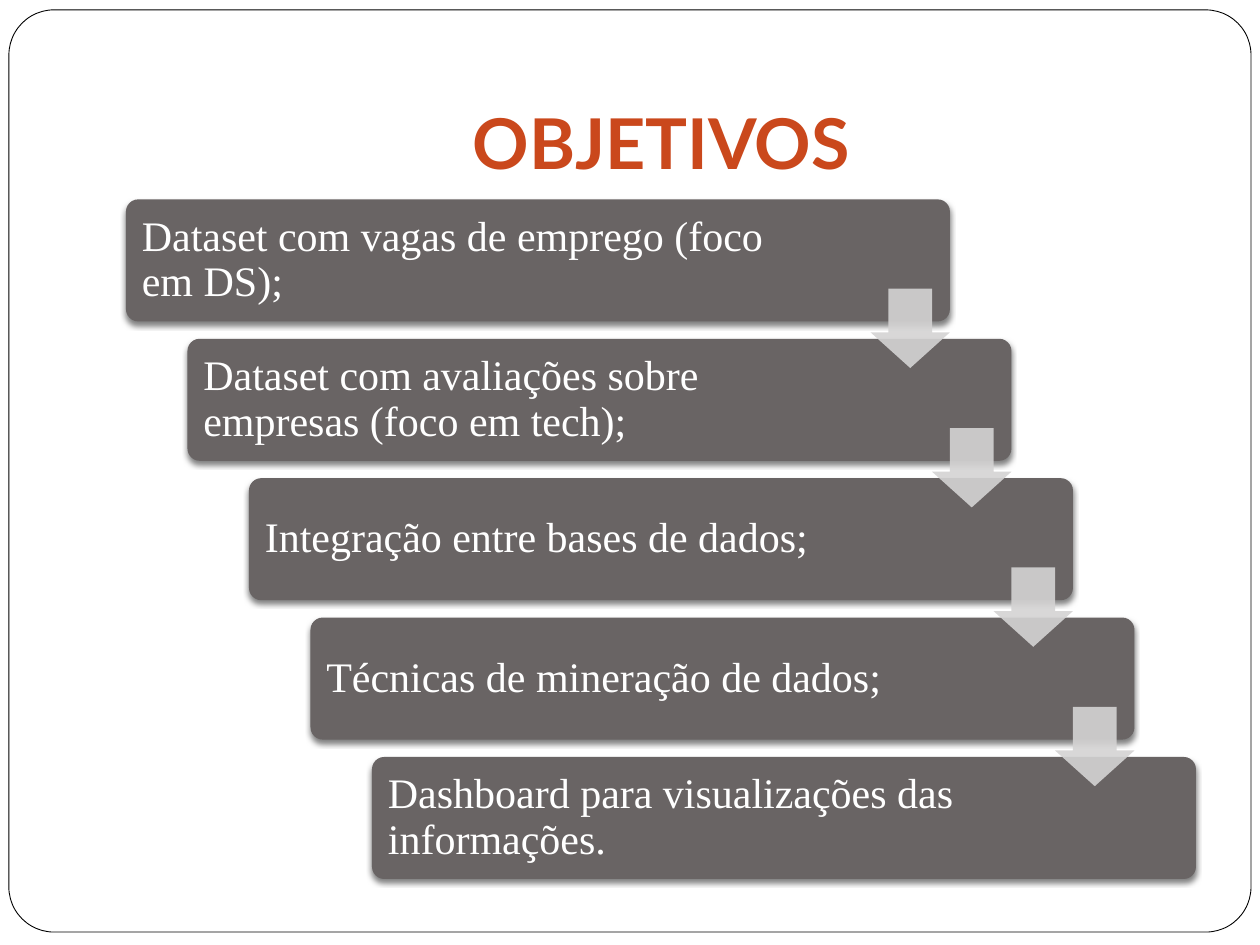
from lxml.etree import SubElement
from pptx import Presentation
from pptx.dml.color import RGBColor
from pptx.enum.shapes import MSO_SHAPE
from pptx.enum.text import MSO_ANCHOR, PP_ALIGN
from pptx.oxml.ns import qn
from pptx.util import Cm, Pt

WHITE = RGBColor(0xFF, 0xFF, 0xFF)
BLACK = RGBColor(0x00, 0x00, 0x00)
ORANGE = RGBColor(0xCA, 0x48, 0x1C)
GRAY = RGBColor(0x69, 0x64, 0x64)
LIGHT_GRAY = RGBColor(0xD4, 0xD3, 0xD3)

OBJECTIVES = [
    "Dataset com vagas de emprego (foco em DS);",
    "Dataset com avaliações sobre empresas (foco em tech);",
    "Integração entre bases de dados;",
    "Técnicas de mineração de dados;",
    "Dashboard para visualizações das informações.",
]
STEP_ACROSS = 1.24
STEP_DOWN = 2.81


def add_shape(page, kind, left, top, width, height, fill, adjustments, line=None):
    shape = page.shapes.add_shape(kind, Cm(left), Cm(top), Cm(width), Cm(height))
    shape.shadow.inherit = False
    shape.fill.solid()
    shape.fill.fore_color.rgb = fill
    for index, value in enumerate(adjustments):
        shape.adjustments[index] = value
    if line is None:
        shape.line.fill.background()
    else:
        shape.line.color.rgb = line
        shape.line.width = Pt(0.5)
    return shape


def add_text(page, text, left, top, width, height, *, font, size, color,
             bold=False, align=PP_ALIGN.LEFT, anchor=MSO_ANCHOR.MIDDLE,
             inset_top=0.25, spacing=None):
    box = page.shapes.add_textbox(Cm(left), Cm(top), Cm(width), Cm(height))
    frame = box.text_frame
    frame.word_wrap = True
    frame.vertical_anchor = anchor
    frame.margin_left = frame.margin_right = frame.margin_bottom = Cm(0.25)
    frame.margin_top = Cm(inset_top)
    para = frame.paragraphs[0]
    para.alignment = align
    para.line_spacing = spacing
    span = para.add_run()
    span.text = text
    span.font.name = font
    span.font.size = Pt(size)
    span.font.bold = bold
    span.font.color.rgb = color


def add_drop_shadow(shape):
    effects = shape._element.spPr.find(qn("a:effectLst"))
    shadow = SubElement(effects, qn("a:outerShdw"), blurRad=str(Pt(3)),
                        dist=str(Pt(2)), dir="5400000", rotWithShape="0")
    color = SubElement(shadow, qn("a:srgbClr"), val=str(BLACK))
    SubElement(color, qn("a:alpha"), val="50000")


def set_opacity(shape, percent):
    color = shape._element.spPr.find(qn("a:solidFill")).find(qn("a:srgbClr"))
    SubElement(color, qn("a:alpha"), val=str(percent * 1000))


def add_objective(page, index, text):
    left = 2.54 + index * STEP_ACROSS
    top = 4.02 + index * STEP_DOWN
    card = add_shape(page, MSO_SHAPE.ROUNDED_RECTANGLE, left, top, 16.61, 2.46,
                     GRAY, [0.1])
    add_drop_shadow(card)
    add_text(page, text, left + 0.07, top + 0.07, 13.65, 2.32,
             font="Times New Roman", size=24, color=WHITE, spacing=0.9)


def add_step_arrow(page, index):
    arrow = add_shape(page, MSO_SHAPE.DOWN_ARROW, 17.55 + index * STEP_ACROSS,
                      5.82 + index * STEP_DOWN, 1.6, 1.6, LIGHT_GRAY, [0.55, 0.45])
    set_opacity(arrow, 90)


def main():
    deck = Presentation()
    deck.slide_width = Cm(25.4)
    deck.slide_height = Cm(19.05)
    page = deck.slides.add_slide(deck.slide_layouts[6])
    add_shape(page, MSO_SHAPE.ROUNDED_RECTANGLE, 0.18, 0.2, 25.04, 18.59,
              WHITE, [0.049], line=BLACK)
    add_text(page, "OBJETIVOS", 2.54, 0.76, 21.59, 3.18, font="Lato", size=40,
             color=ORANGE, bold=True, align=PP_ALIGN.CENTER,
             anchor=MSO_ANCHOR.BOTTOM, inset_top=0.13)
    for index, text in enumerate(OBJECTIVES):
        add_objective(page, index, text)
    for index in range(len(OBJECTIVES) - 1):
        add_step_arrow(page, index)
    deck.save("out.pptx")


main()
